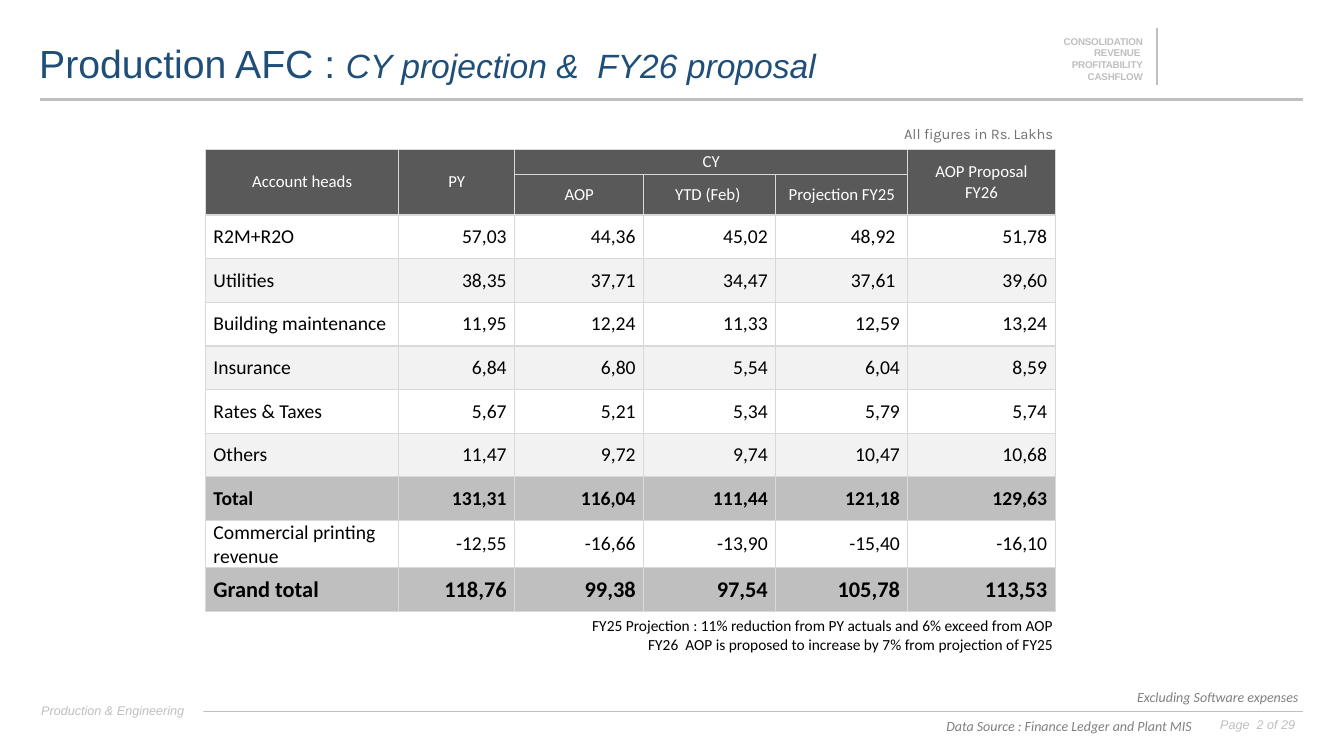
from lxml import etree
from pptx import Presentation
from pptx.dml.color import RGBColor
from pptx.enum.shapes import MSO_CONNECTOR as Conn, MSO_SHAPE as Kind
from pptx.enum.text import MSO_ANCHOR as Anchor, PP_ALIGN as Align
from pptx.oxml.ns import qn
from pptx.util import Cm, Pt

WHITE = RGBColor(255, 255, 255)
BLACK = RGBColor(0, 0, 0)
NAVY = RGBColor(0x1F, 0x4E, 0x79)
DARK = RGBColor(0x59, 0x59, 0x59)
GREY = RGBColor(0x80, 0x80, 0x80)
WARM = RGBColor(0x76, 0x71, 0x71)
RULE = RGBColor(0xBF, 0xBF, 0xBF)
BAND = RGBColor(0xF2, 0xF2, 0xF2)
EDGE = "D9D9D9"

# Content
TITLE = [("Production AFC : ", 28, False), ("CY projection &  FY26 proposal", 24, True)]
TAGS = ["CONSOLIDATION", "REVENUE ", "PROFITABILITY", "CASHFLOW"]
NOTES = [
    "FY25 Projection : 11% reduction from PY actuals and 6% exceed from AOP",
    "FY26  AOP is proposed to increase by 7% from projection of FY25",
]
HEADS = [
    ["Account heads", "PY", "CY", "", "", "AOP Proposal\nFY26"],
    ["", "", "AOP", "YTD (Feb) ", "Projection FY25", ""],
]
ROWS = [
    ["R2M+R2O", "57,03", "44,36", "45,02", "48,92 ", "51,78"],
    ["Utilities", "38,35", "37,71", "34,47", "37,61 ", "39,60"],
    ["Building maintenance", "11,95", "12,24", "11,33", "12,59", "13,24"],
    ["Insurance", "6,84", "6,80", "5,54", "6,04", "8,59"],
    ["Rates & Taxes", "5,67", "5,21", "5,34", "5,79", "5,74"],
    ["Others", "11,47", "9,72", "9,74", "10,47", "10,68"],
    ["Total", "131,31", "116,04", "111,44", "121,18", "129,63"],
    ["Commercial printing revenue", "-12,55", "-16,66", "-13,90", "-15,40", "-16,10"],
    ["Grand total", "118,76", "99,38", "97,54", "105,78", "113,53"],
]
WIDTHS = [4.87, 2.92, 3.25, 3.33, 3.33, 3.71]
TALL = [0.64, 0.79] + [1.1] * len(ROWS)
SPANS = [(0, 0, 1, 0), (0, 1, 1, 1), (0, 2, 0, 4), (0, 5, 1, 5)]
# x1, y1, x2, y2, points
LINES = [
    (29.16, 0.71, 29.16, 2.13, 1),
    (1.07, 17.93, 32.84, 17.93, 0.25),
    (1.02, 2.51, 32.84, 2.51, 2),
]
WIDE = (0.25, 0.13, 0.25, 0.13)
SLIM = (0.1, 0.1, 0.1, 0.1)
FLUSH = (0, 0.1, 0.1, 0.1)

prs = Presentation()
prs.slide_width, prs.slide_height = Cm(33.87), Cm(19.05)
slide = prs.slides.add_slide(prs.slide_layouts[6])
shapes = slide.shapes


def style(font, size, color, name="Calibri", bold=False, italic=False):
    font.name, font.size, font.bold, font.italic = name, Pt(size), bold, italic
    font.color.rgb = color


def pad(item, sides):
    (item.margin_left, item.margin_top,
     item.margin_right, item.margin_bottom) = map(Cm, sides)


def write(frame, lines, look, align=Align.RIGHT):
    frame.text = "\n".join(lines)
    for para in frame.paragraphs:
        para.alignment = align
        for run in para.runs:
            style(run.font, **look)


def box(place, lines, look, sides=WIDE, anchor=Anchor.TOP):
    frame = shapes.add_textbox(*map(Cm, place)).text_frame
    frame.word_wrap = True
    frame.vertical_anchor = anchor
    pad(frame, sides)
    write(frame, lines, look)
    return frame


def border(cell):
    props = cell._tc.get_or_add_tcPr()
    for spot, side in enumerate(("lnL", "lnR", "lnT", "lnB")):
        line = etree.Element(qn("a:" + side), w=str(Pt(1)))
        fill = etree.SubElement(line, qn("a:solidFill"))
        etree.SubElement(fill, qn("a:srgbClr"), val=EDGE)
        props.insert(spot, line)


# Rules
for x1, y1, x2, y2, size in LINES:
    rule = shapes.add_connector(Conn.STRAIGHT, Cm(x1), Cm(y1), Cm(x2), Cm(y2))
    rule.line.color.rgb, rule.line.width = RULE, Pt(size)
    etree.SubElement(rule._element.spPr, qn("a:effectLst"))

# Corner tags and footer
pale = dict(size=9, color=RULE, name="Arial", italic=True)
box((29.95, 17.96, 2.79, 0.58), ["Page  2 of 29"], pale, SLIM, Anchor.MIDDLE)
tags = box((25.68, 0.84, 3.12, 1.24), TAGS,
           dict(size=7, color=RULE, name="Arial", bold=True), (0, 0.05, 0, 0))
for para in tags.paragraphs:
    para.runs[0].font._element.set("spc", "-10")

unit = shapes.add_shape(Kind.RECTANGLE, Cm(1.04), Cm(17.6), Cm(4.09), Cm(0.61))
unit.shadow.inherit = False
unit.fill.solid()
unit.fill.fore_color.rgb = WHITE
unit.line.fill.background()
unit.text_frame.vertical_anchor = Anchor.MIDDLE
pad(unit.text_frame, FLUSH)
write(unit.text_frame, ["Production & Engineering"], pale, Align.LEFT)

# Title
title = box((0.99, 1.07, 24.18, 1.19), [], dict(size=28, color=NAVY), FLUSH, Anchor.MIDDLE)
para = title.paragraphs[0]
para.alignment, para.line_spacing = Align.LEFT, 0.9
for text, size, slant in TITLE:
    run = para.add_run()
    run.text = text
    style(run.font, size, NAVY, "Arial", italic=slant)

# Table
grid = shapes.add_table(len(TALL), len(WIDTHS), Cm(5.18), Cm(3.76),
                        Cm(sum(WIDTHS)), Cm(sum(TALL))).table
grid.first_row = grid.horz_banding = False
for col, width in zip(grid.columns, WIDTHS):
    col.width = Cm(width)
for row, height in zip(grid.rows, TALL):
    row.height = Cm(height)

for r, row in enumerate(HEADS + ROWS):
    head, total = r < len(HEADS), row[0] in ("Total", "Grand total")
    fill = DARK if head else RULE if total else BAND if r % 2 else WHITE
    size = 12 if head else 16 if row[0] == "Grand total" else 14
    look = dict(size=size, color=WHITE if head else BLACK, bold=total)
    for c, text in enumerate(row):
        cell = grid.cell(r, c)
        if row[0].startswith("Commercial"):
            cell.fill.background()
        else:
            cell.fill.solid()
            cell.fill.fore_color.rgb = fill
        border(cell)
        cell.vertical_anchor = Anchor.MIDDLE
        left = 0.2 if not head and c == 0 else 0.02
        right = 0.2 if not head and c else 0.02
        pad(cell, (left, 0, right, 0))
        align = Align.CENTER if head else Align.RIGHT if c else Align.LEFT
        write(cell.text_frame, text.split("\n"), look, align)
for r1, c1, r2, c2 in SPANS:
    grid.cell(r1, c1).merge(grid.cell(r2, c2))

# Notes around the table
small = dict(size=10, color=GREY, italic=True)
box((20.78, 17.96, 9.5, 0.69), ["Data Source : Finance Ledger and Plant MIS"], small)
box((5.21, 15.4, 21.59, 1.19), NOTES, dict(size=11, color=BLACK), anchor=Anchor.BOTTOM)
box((28.09, 17.22, 4.88, 0.69), ["Excluding Software expenses"], small, anchor=Anchor.BOTTOM)
box((22.25, 3.02, 4.55, 0.74), ["All figures in Rs. Lakhs"],
    dict(size=10.5, color=WARM, name="Karla"))

prs.save("out.pptx")
